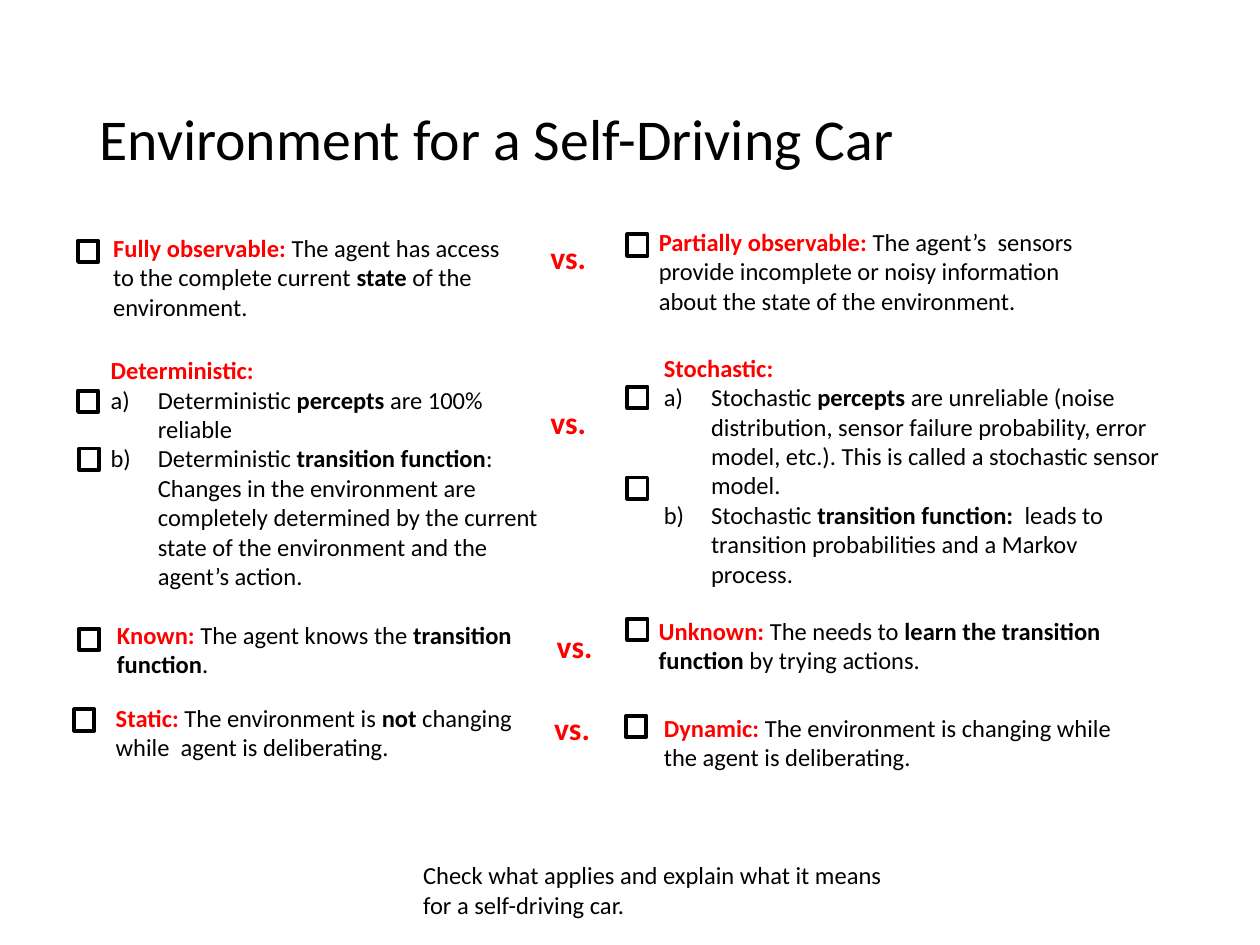
from dataclasses import dataclass

from lxml import etree
from pptx import Presentation
from pptx.dml.color import RGBColor
from pptx.enum import shapes, text
from pptx.oxml.ns import qn
from pptx.util import Inches, Pt


@dataclass(frozen=True)
class Theme:
    font: str = "Calibri"
    ink: RGBColor = RGBColor(0, 0, 0)
    accent: RGBColor = RGBColor(255, 0, 0)
    title_size: int = 33
    versus_size: int = 18
    body_size: int = 14
    box_line: float = 2.25


class SlideBuilder:
    def __init__(self, slide, theme):
        self.slide = slide
        self.theme = theme

    def add_run(self, paragraph, words, size, style=""):
        run = paragraph.add_run()
        run.text = words
        run.font.name = self.theme.font
        run.font.size = Pt(size)
        run.font.bold = style in ("term", "bold")
        run.font.color.rgb = self.theme.accent if style == "term" else self.theme.ink

    def add_title(self, words, left, top, width, height):
        title = self.slide.shapes.title
        title.left, title.top = Inches(left), Inches(top)
        title.width, title.height = Inches(width), Inches(height)
        frame = title.text_frame
        frame.vertical_anchor = text.MSO_ANCHOR.MIDDLE
        frame.auto_size = text.MSO_AUTO_SIZE.NONE
        paragraph = frame.paragraphs[0]
        paragraph.alignment = text.PP_ALIGN.LEFT
        paragraph.line_spacing = 0.9
        self.add_run(paragraph, words, self.theme.title_size)

    def add_lettering(self, paragraph):
        properties = paragraph._p.get_or_add_pPr()
        properties.set("marL", str(Inches(0.375)))
        properties.set("indent", str(-Inches(0.375)))
        etree.SubElement(properties, qn("a:buAutoNum"), type="alphaLcParenR")

    def add_text(self, place, paragraphs, size=None):
        box = self.slide.shapes.add_textbox(*map(Inches, place))
        frame = box.text_frame
        frame.word_wrap = True
        for index, runs in enumerate(paragraphs):
            paragraph = frame.add_paragraph() if index else frame.paragraphs[0]
            if index:
                self.add_lettering(paragraph)
            for words, style in runs:
                self.add_run(paragraph, words, size or self.theme.body_size, style)

    def add_versus(self, left, top):
        self.add_text((left, top, 0.65, 0.4), [[("vs.", "term")]], self.theme.versus_size)

    def add_checkbox(self, left, top):
        box = self.slide.shapes.add_shape(
            shapes.MSO_SHAPE.RECTANGLE, Inches(left), Inches(top), Inches(0.16), Inches(0.17))
        box.shadow.inherit = False
        box.fill.background()
        box.line.color.rgb = self.theme.ink
        box.line.width = Pt(self.theme.box_line)


DEFINITIONS = [
    ((0.8, 1.8, 3.42, 0.81), [
        [("Fully observable: ", "term"), ("The agent has access to the complete current ", ""),
         ("state ", "bold"), ("of the environment.", "")]]),
    ((5.13, 1.75, 3.82, 0.81), [
        [("Partially observable: ", "term"),
         ("The agent’s  sensors provide incomplete or noisy information "
          "about the state of the environment.", "")]]),
    ((0.78, 2.77, 3.67, 1.99), [
        [("Deterministic:", "term")],
        [("Deterministic ", ""), ("percepts", "bold"), (" are 100% reliable", "")],
        [("Deterministic ", ""), ("transition function", "bold"),
         (": Changes in the environment are completely determined by the current "
          "state of the environment and the agent’s action.", "")]]),
    ((5.17, 2.75, 4.16, 2.22), [
        [("Stochastic:", "term")],
        [("Stochastic ", ""), ("percepts", "bold"),
         (" are unreliable (noise distribution, sensor failure probability, error model, "
          "etc.). This is called a stochastic sensor model.", "")],
        [("Stochastic ", ""), ("transition function:  ", "bold"),
         ("leads to transition probabilities and a Markov process.", "")]]),
    ((0.83, 4.87, 3.49, 0.57), [
        [("Known:", "term"), (" The agent knows the ", ""),
         ("transition function", "bold"), (".", "")]]),
    ((5.13, 4.84, 4.16, 0.57), [
        [("Unknown: ", "term"), ("The needs to ", ""),
         ("learn the transition function", "bold"), (" by trying actions.", "")]]),
    ((0.82, 5.53, 3.54, 0.57), [
        [("Static: ", "term"), ("The environment is ", ""), ("not", "bold"),
         (" changing while  agent is deliberating.", "")]]),
    ((5.17, 5.61, 4.01, 0.57), [
        [("Dynamic: ", "term"),
         ("The environment is changing while the agent is deliberating.", "")]]),
]
VERSUS = [(4.27, 1.84), (4.27, 3.15), (4.32, 4.93), (4.3, 5.58)]
CHECKBOXES = [
    (0.62, 1.91), (0.62, 3.1), (0.63, 3.56), (0.63, 4.99), (0.59, 5.63),
    (4.98, 1.86), (4.98, 3.07), (4.98, 3.79), (4.98, 4.91), (4.97, 5.68),
]


def main():
    presentation = Presentation()
    presentation.slide_width, presentation.slide_height = Inches(10), Inches(7.5)
    slide = presentation.slides.add_slide(presentation.slide_layouts[5])
    builder = SlideBuilder(slide, Theme())
    builder.add_title("Environment for a Self-Driving Car", 0.69, 0.4, 8.62, 1.45)
    for place, paragraphs in DEFINITIONS:
        builder.add_text(place, paragraphs)
    for left, top in VERSUS:
        builder.add_versus(left, top)
    for left, top in CHECKBOXES:
        builder.add_checkbox(left, top)
    builder.add_text((3.26, 6.78, 4.06, 0.57), [
        [("Check what applies and explain what it means for a self-driving car.", "")]])
    presentation.save("out.pptx")


if __name__ == "__main__":
    main()
